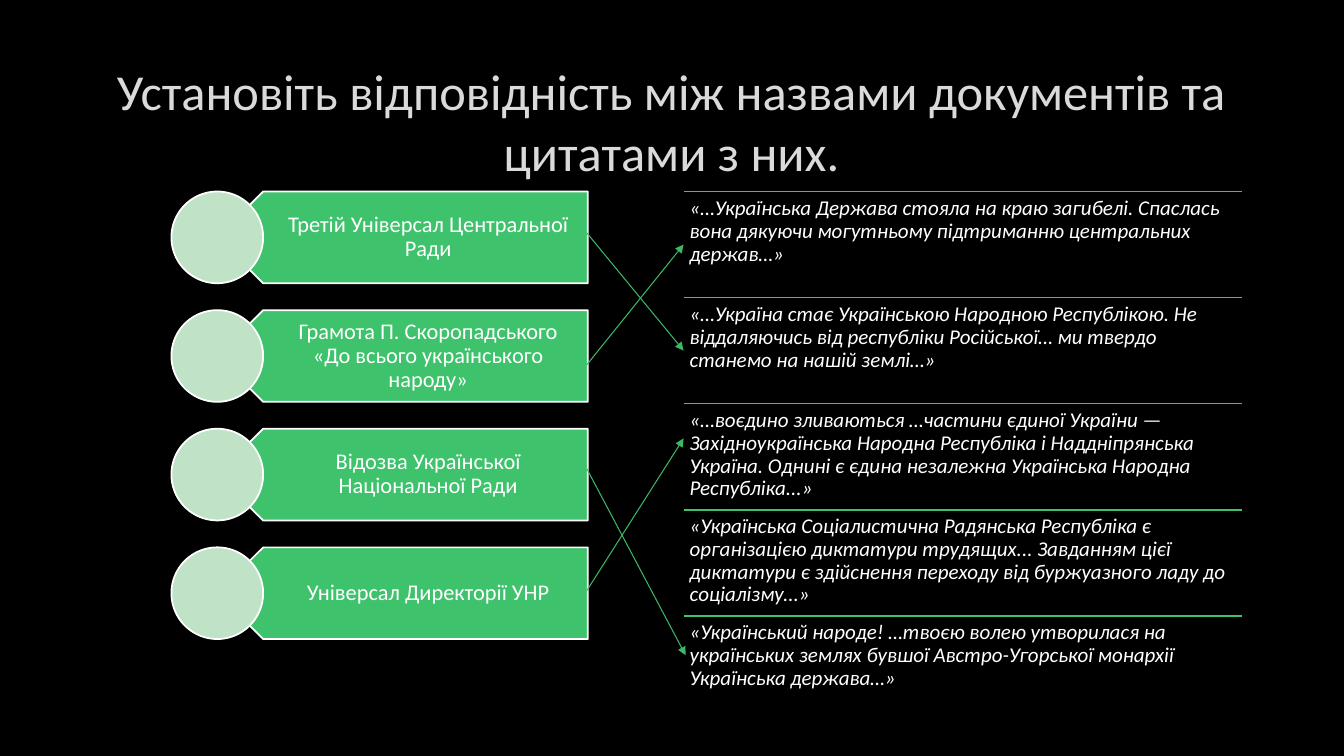
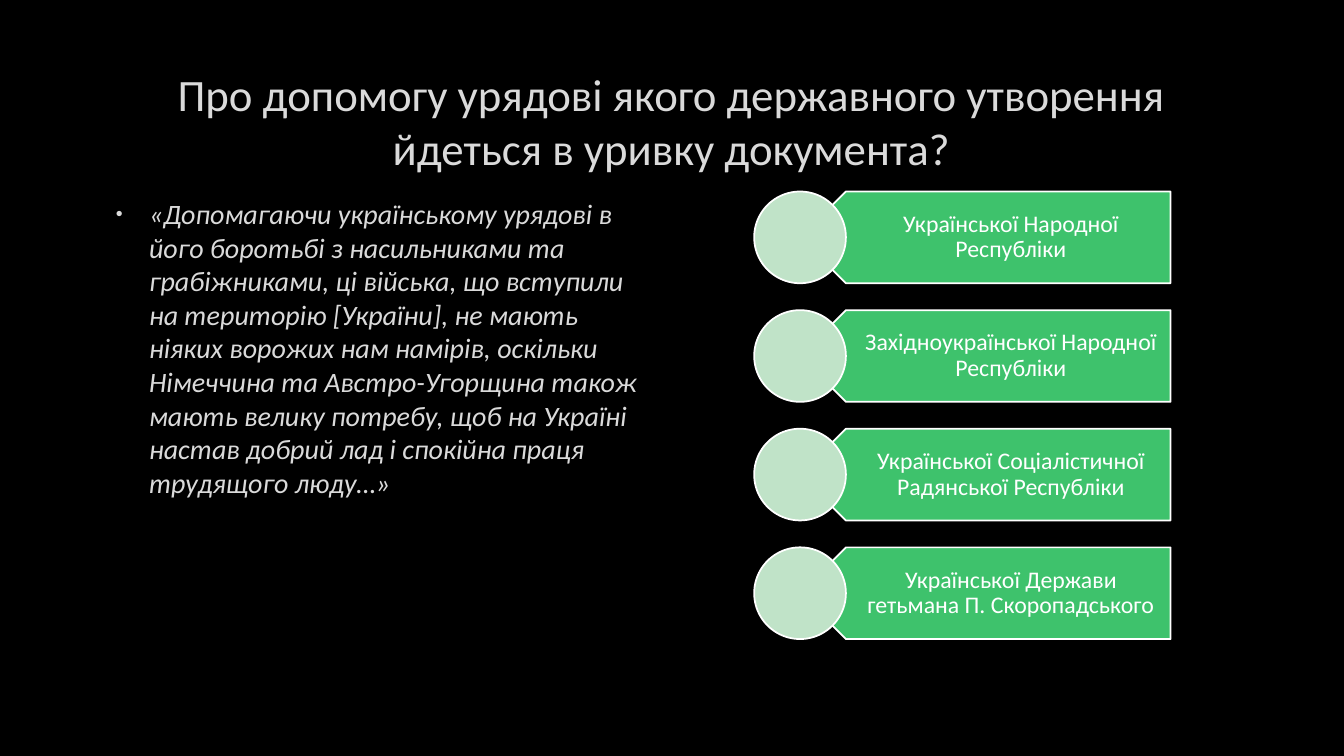
from pptx import Presentation
from pptx.dml.color import RGBColor
from pptx.enum.shapes import MSO_CONNECTOR as Connector, MSO_SHAPE as Preset
from pptx.enum.text import MSO_ANCHOR as Anchor, PP_ALIGN as Align
from pptx.oxml import parse_xml
from pptx.oxml.ns import nsdecls
from pptx.util import Inches, Pt

COLORS = {
    "background": "000000",
    "heading": "DADADA",
    "outline": "404040",
    "plate": "3EC26C",
    "dot": "C0E3C8",
    "arrow": "3BB967",
    "white": "FFFFFF",
}
FONT = "Calibri"
TOP = 1.9  # shared top edge of the content columns

# Boxes are left, top, width, height in inches
TITLE_BOX = (1, 0.67, 11.32, 1.06)
LABEL_SIZE = (4.13, 4.44)
PLATE_HEIGHT = 0.91
QUOTES_BOX = (6.78, TOP, 5.54, 5.26)

DOCUMENTS = [
    "Третій Універсал Центральної Ради",
    "Грамота П. Скоропадського «До всього українського народу»",
    "Відозва Української Національної Ради",
    "Універсал Директорії УНР",
]
QUOTES = [
    "«…Українська Держава стояла на краю загибелі. Спаслась вона дякуючи могутньому "
    "підтриманню центральних держав…»",
    "«…Україна стає Українською Народною Республікою. Не віддаляючись від республіки "
    "Російської… ми твердо станемо на нашій землі…»",
    "«…воєдино зливаються …частини єдиної України — Західноукраїнська Народна Республіка "
    "і Наддніпрянська Україна. Однині є єдина незалежна Українська Народна Республіка...»",
    "«Українська Соціалистична Радянська Республіка є організацією диктатури трудящих... "
    "Завданням цієї диктатури є здійснення переходу від буржуазного ладу до соціалізму...»",
    "«Український народе! …твоєю волею утворилася на українських землях бувшої "
    "Австро-Угорської монархії Українська держава…»",
]
# Start point, end point, index of the quote whose left side it is joined to
ARROWS = [
    ((5.82, 2.31), (6.78, 3.47), 1),
    ((5.82, 3.62), (6.78, 2.41), 0),
    ((5.82, 4.65), (6.8, 6.5), None),
    ((5.82, 5.86), (6.78, 4.35), None),
]
EXCERPT = (
    "«Допомагаючи українському урядові в його боротьбі з насильниками та грабіжниками, "
    "ці війська, що вступили на територію [України], не мають ніяких ворожих нам намірів, "
    "оскільки Німеччина та Австро-Угорщина також мають велику потребу, щоб на Україні "
    "настав добрий лад і спокійна праця трудящого люду…»"
)
STATES = [
    "Української Народної Республіки",
    "Західноукраїнської Народної Республіки",
    "Української Соціалістичної Радянської Республіки",
    "Української Держави гетьмана П. Скоропадського",
]


def color(name):
    return RGBColor.from_string(COLORS[name])


def inches(values):
    return [Inches(value) for value in values]


def set_format(target, **values):
    for name, value in values.items():
        setattr(target, name, value)


def add_text(shapes, box, text, size, ink="white", italic=False, insets=(0.1, 0.05, 0.1, 0.05),
             anchor=Anchor.TOP, **para_format):
    """Add a wrapping text box; return it with its paragraph and run."""
    text_box = shapes.add_textbox(*inches(box))
    frame = text_box.text_frame
    left, top, right, bottom = inches(insets)
    set_format(frame, word_wrap=True, vertical_anchor=anchor, margin_left=left,
               margin_top=top, margin_right=right, margin_bottom=bottom)
    para = frame.paragraphs[0]
    set_format(para, **para_format)
    span = para.add_run()
    span.text = text
    set_format(span.font, name=FONT, size=Pt(size), italic=italic)
    span.font.color.rgb = color(ink)
    return text_box, para, span


def add_outline(span):
    """Give the letters a faint outline."""
    span.font._element.insert(0, parse_xml(
        f'<a:ln {nsdecls("a")} w="9525"><a:solidFill><a:srgbClr val="{COLORS["outline"]}">'
        '<a:alpha val="10000"/></a:srgbClr></a:solidFill><a:prstDash val="solid"/></a:ln>'))


def add_preset(shapes, preset, box, fill, rotation=0):
    shape = shapes.add_shape(preset, *inches(box))
    shape.rotation = rotation
    shape.shadow.inherit = False
    shape.fill.solid()
    shape.fill.fore_color.rgb = color(fill)
    shape.line.color.rgb = color("white")
    shape.line.width = Pt(1.25)


def add_line(shapes, start, end, ink, width):
    line = shapes.add_connector(Connector.STRAIGHT, *inches(start + end))
    line.line.color.rgb = color(ink)
    line.line.width = Pt(width)
    line._element.spPr.append(parse_xml(f'<a:effectLst {nsdecls("a")}/>'))
    return line


def add_page(deck, title, size):
    """Blank black page with its centred title."""
    page = deck.slides.add_slide(deck.slide_layouts[6])
    page.background.fill.solid()
    page.background.fill.fore_color.rgb = color("background")
    _, _, span = add_text(page.shapes, TITLE_BOX, title, size, "heading",
                          anchor=Anchor.MIDDLE, alignment=Align.CENTER)
    add_outline(span)
    return page


def add_labels(page, box, labels, size):
    """Column of left-pointing plates, each with a dot on its tip."""
    left, top, width, height = box
    shapes = page.shapes.add_group_shape().shapes
    step = (height - PLATE_HEIGHT) / (len(labels) - 1)
    radius = PLATE_HEIGHT / 2
    for index, label in enumerate(labels):
        y = top + index * step
        add_preset(shapes, Preset.PENTAGON,
                   (left + radius, y, width - radius, PLATE_HEIGHT), "plate", 180)
        text_left = radius * 1.5
        add_text(shapes, (left + text_left, y, width - text_left, PLATE_HEIGHT), label, size,
                 insets=(0.4, 0.07, 0.12, 0.07), anchor=Anchor.MIDDLE,
                 alignment=Align.CENTER, line_spacing=0.9, space_after=Pt(size * 0.35))
        add_preset(shapes, Preset.OVAL, (left, y, PLATE_HEIGHT, PLATE_HEIGHT), "dot")


def add_quotes(page, box, quotes):
    """Equal rows of quotes, each under a rule; return the text boxes."""
    left, top, width, height = box
    shapes = page.shapes.add_group_shape().shapes
    row = height / len(quotes)
    text_boxes = []
    for index, quote in enumerate(quotes):
        y = top + index * row
        add_line(shapes, (left, y), (left + width, y), "plate", 1.25)
        text_box, _, _ = add_text(shapes, (left, y, width, row), quote, 15, italic=True,
                                  insets=(0.06,) * 4, line_spacing=0.9,
                                  space_after=Pt(15 * 0.35))
        text_boxes.append(text_box)
    return text_boxes


def add_arrows(page, arrows, targets):
    for start, end, target in arrows:
        arrow = add_line(page.shapes, start, end, "arrow", 0.75)
        arrow.line._get_or_add_ln().append(
            parse_xml(f'<a:tailEnd {nsdecls("a")} type="triangle"/>'))
        if target is not None:
            arrow.end_connect(targets[target], 1)


def add_excerpt(page, box, text):
    """Bulleted italic quotation."""
    _, para, span = add_text(page.shapes, box, text, 20, "heading", italic=True,
                             space_after=Pt(6))
    props = para._element.get_or_add_pPr()
    props.set("marL", str(Inches(0.38)))
    props.set("indent", str(Inches(-0.33)))
    for tag, content in (
        ("buClr", f'<a:srgbClr val="{COLORS["heading"]}"/>'),
        ("buSzPct", 'val="70000"'),
        ("buFont", 'typeface="Arial"'),
        ("buChar", 'char="•"'),
    ):
        attributes, child = ("", content) if content.startswith("<") else (content, "")
        props.append(parse_xml(f'<a:{tag} {nsdecls("a")} {attributes}>{child}</a:{tag}>'))
    add_outline(span)


def build_matching(deck):
    page = add_page(deck, "Установіть відповідність між назвами документів та цитатами з них.", 36)
    add_labels(page, (1.7, TOP) + LABEL_SIZE, DOCUMENTS, 16)
    quote_boxes = add_quotes(page, QUOTES_BOX, QUOTES)
    add_arrows(page, ARROWS, quote_boxes)


def build_question(deck):
    page = add_page(
        deck, "Про допомогу урядові якого державного утворення йдеться в уривку документа?", 32)
    add_excerpt(page, (1, TOP, 5.53, 4.44), EXCERPT)
    add_labels(page, (7.48, TOP) + LABEL_SIZE, STATES, 17)


def main():
    deck = Presentation()
    set_format(deck, slide_width=Inches(13.33), slide_height=Inches(7.5))
    build_matching(deck)
    build_question(deck)
    deck.save("out.pptx")


if __name__ == "__main__":
    main()
